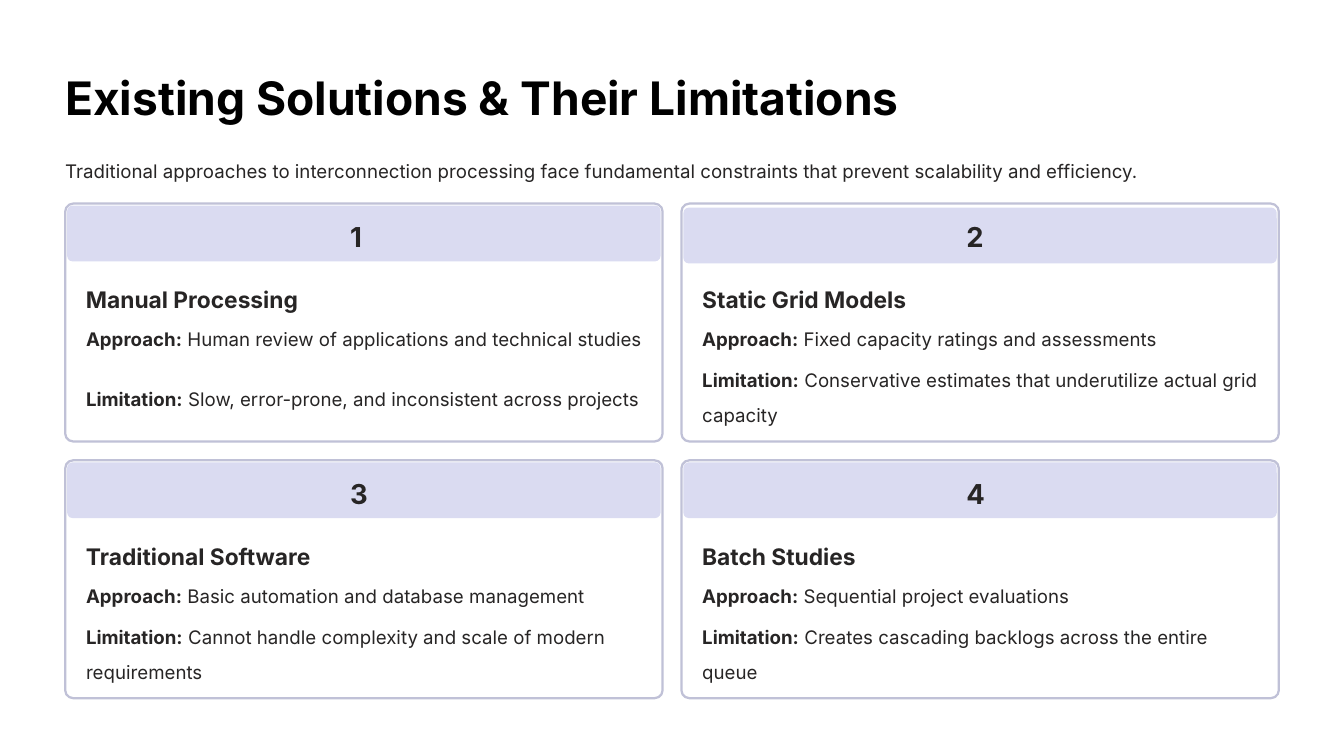
import dataclasses

import pptx
import pptx.dml.color
import pptx.enum.shapes
import pptx.enum.text
import pptx.util


@dataclasses.dataclass(frozen=True)
class Theme:
    """Colours, font and type sizes of the slide."""
    font: str = "Inter"
    page: str = "FFFFFF"
    title: str = "000000"
    ink: str = "272525"
    border: str = "C0C1D7"
    band: str = "DADBF1"
    title_size: float = 49.4
    number_size: float = 29.4
    heading_size: float = 24.4
    body_size: float = 20


@dataclasses.dataclass(frozen=True)
class Grid:
    """Card grid: origin, card size and gap, in inches."""
    left: float = 0.97
    top: float = 3.03
    width: float = 8.89
    height: float = 3.54
    gap: float = 0.28

    def cell(self, col, row):
        """Return the top left corner of a card."""
        return (self.left + col * (self.width + self.gap),
                self.top + row * (self.height + self.gap))


@dataclasses.dataclass(frozen=True)
class Card:
    """Wording of a card, with the measures that vary between cards."""
    heading: str
    approach: str
    limitation: str
    band_top: float = 0.03
    limitation_top: float = 2.26
    body_width: float = 8.28
    body_heights: tuple = (0.4, 0.85)


THEME = Theme()
GRID = Grid()
COLUMNS = 2
CARDS = [
    Card("Manual Processing",
         "Human review of applications and technical studies",
         "Slow, error-prone, and inconsistent across projects",
         limitation_top=2.54, body_width=8.41, body_heights=(1.07, 1.07)),
    Card("Static Grid Models",
         "Fixed capacity ratings and assessments",
         "Conservative estimates that underutilize actual grid capacity",
         band_top=0.06),
    Card("Traditional Software",
         "Basic automation and database management",
         "Cannot handle complexity and scale of modern requirements"),
    Card("Batch Studies",
         "Sequential project evaluations",
         "Creates cascading backlogs across the entire queue"),
]


def rgb(value):
    """Turn a hex string into a colour."""
    return pptx.dml.color.RGBColor.from_string(value)


def add_text(s, box, runs, size, spacing=None, color=THEME.ink):
    """Add a one-paragraph text box from (text, bold) runs."""
    tf = s.shapes.add_textbox(*map(pptx.util.Inches, box)).text_frame
    tf.word_wrap = True
    tf.auto_size = pptx.enum.text.MSO_AUTO_SIZE.SHAPE_TO_FIT_TEXT
    tf.margin_left = tf.margin_right = tf.margin_top = tf.margin_bottom = 0
    p = tf.paragraphs[0]
    if spacing:
        p.line_spacing = spacing
    for text, bold in runs:
        r = p.add_run()
        r.text = text
        r.font.name = THEME.font
        r.font.size = pptx.util.Pt(size)
        r.font.bold = bold
        r.font.color.rgb = rgb(color)


def add_panel(s, box, radius, fill, border=None):
    """Add a rounded rectangle with a corner radius in inches."""
    sp = s.shapes.add_shape(pptx.enum.shapes.MSO_SHAPE.ROUNDED_RECTANGLE,
                            *map(pptx.util.Inches, box))
    sp.adjustments[0] = radius / min(box[2:])
    sp.shadow.inherit = False
    sp.fill.solid()
    sp.fill.fore_color.rgb = rgb(fill)
    if border:
        sp.line.color.rgb = rgb(border)
        sp.line.width = pptx.util.Pt(2.4)
    else:
        sp.line.fill.background()


def add_card(s, index, card):
    """Add a numbered card in its grid cell."""
    row, col = divmod(index, COLUMNS)
    x, y = GRID.cell(col, row)
    text_x = x + 0.31
    add_panel(s, (x, y, GRID.width, GRID.height), 0.12, THEME.page, THEME.border)
    add_panel(s, (x + 0.03, y + card.band_top, GRID.width - 0.06, 0.83),
              0.08, THEME.band)
    add_text(s, (x + 4.24, y + 0.25, 0.42, 0.46), [(str(index + 1), True)],
             THEME.number_size)
    add_text(s, (text_x, y + 1.12, 3.46, 0.45), [(card.heading, True)],
             THEME.heading_size, 1.26)
    body = [("Approach:", card.approach, 1.65),
            ("Limitation:", card.limitation, card.limitation_top)]
    for (label, text, top), height in zip(body, card.body_heights):
        add_text(s, (text_x, y + top, card.body_width, height),
                 [(label, True), (" " + text, False)], THEME.body_size, 1.59)


def main():
    """Build and save the slide."""
    prs = pptx.Presentation()
    prs.slide_width = pptx.util.Inches(20)
    prs.slide_height = pptx.util.Inches(11.25)
    s = prs.slides.add_slide(prs.slide_layouts[6])
    s.background.fill.solid()
    s.background.fill.fore_color.rgb = rgb(THEME.page)
    add_text(s, (GRID.left, 0.83, 12.53, 0.9),
             [("Existing Solutions & Their Limitations", True)],
             THEME.title_size, 1.25, THEME.title)
    add_text(s, (GRID.left, 2.18, COLUMNS * GRID.width + GRID.gap, 0.4),
             [("Traditional approaches to interconnection processing face "
               "fundamental constraints that prevent scalability and "
               "efficiency.", False)],
             THEME.body_size, 1.59)
    for index, card in enumerate(CARDS):
        add_card(s, index, card)
    prs.save("out.pptx")


if __name__ == "__main__":
    main()
